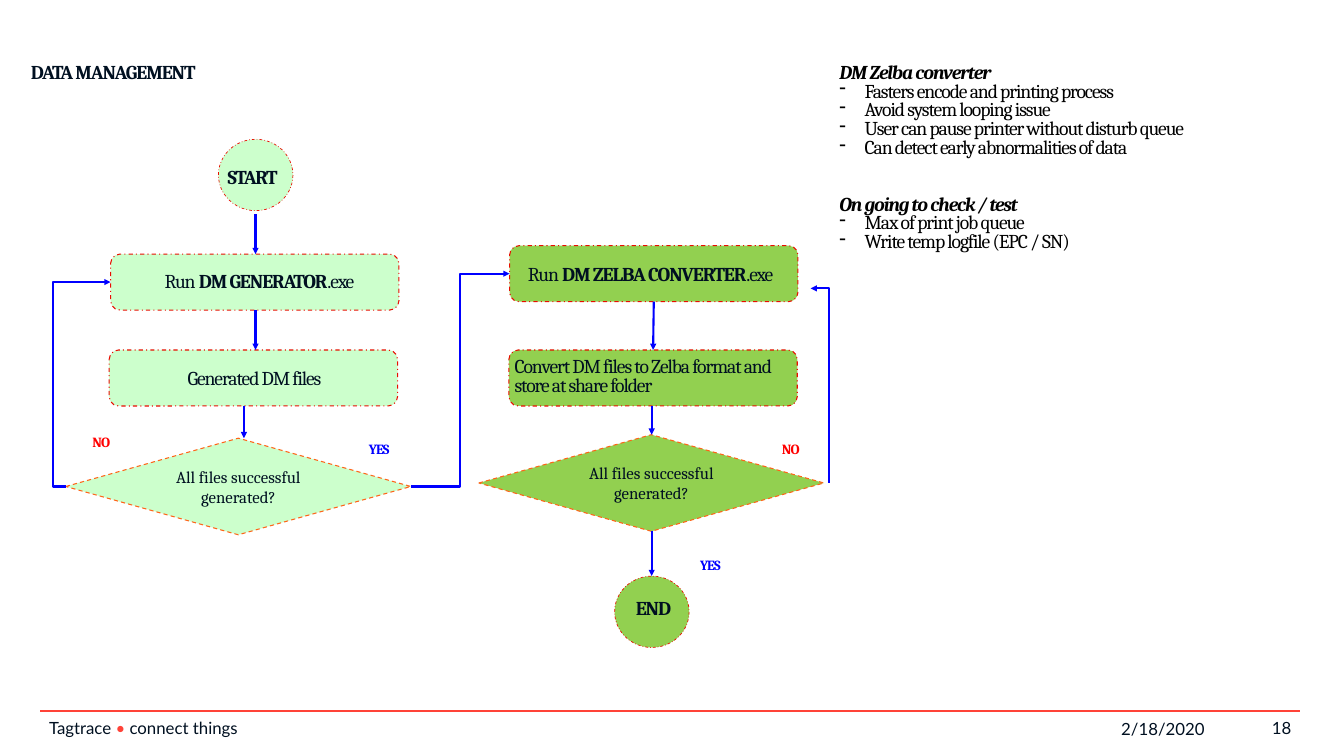
import dataclasses

import pptx
import pptx.dml.color
import pptx.enum.dml
import pptx.enum.shapes
import pptx.enum.text
import pptx.oxml
import pptx.oxml.ns
import pptx.util

Pt = pptx.util.Pt
Shape = pptx.enum.shapes.MSO_SHAPE
Wire = pptx.enum.shapes.MSO_CONNECTOR
Dash = pptx.enum.dml.MSO_LINE
Align = pptx.enum.text.PP_ALIGN
Anchor = pptx.enum.text.MSO_ANCHOR


@dataclasses.dataclass(frozen=True)
class Theme:
    serif: str = "Cambria"
    sans: str = "Lato"
    ink: str = "001021"
    black: str = "000000"
    mint: str = "CCFFCC"
    green: str = "92D050"
    outline: str = "E90D00"
    decision_outline: str = "FF6418"
    accent: str = "FF4338"
    blue: str = "0000FF"
    red: str = "FF0000"
    body: int = 28
    small: int = 24
    answer: int = 20


def apply(target, values):
    for name, value in values.items():
        setattr(target, name, value)


def rgb(value):
    return pptx.dml.color.RGBColor.from_string(value)


def element(parent, tag, **attributes):
    child = pptx.oxml.parse_xml(f'<a:{tag} {pptx.oxml.ns.nsdecls("a")}/>')
    for name, value in attributes.items():
        child.set(name, str(value))
    parent.append(child)
    return child


class Flowchart:
    def __init__(self, theme, slide):
        self.theme = theme
        self.slide = slide

    def set_text(self, frame, paragraphs, align=Align.LEFT, spacing=0.8, tight=True,
                 margins=(7.2, 21.6, 7.2, 3.6), anchor=Anchor.TOP, **font):
        left, top, right, bottom = map(Pt, margins)
        apply(frame, dict(word_wrap=True, auto_size=pptx.enum.text.MSO_AUTO_SIZE.NONE,
                          vertical_anchor=anchor, margin_left=left, margin_top=top,
                          margin_right=right, margin_bottom=bottom))
        base = dict(name=self.theme.serif, size=self.theme.body,
                    color=self.theme.ink, bold=False, italic=False) | font
        for index, runs in enumerate(paragraphs):
            paragraph = frame.add_paragraph() if index else frame.paragraphs[0]
            apply(paragraph, dict(alignment=align, line_spacing=spacing))
            for text, changes in runs:
                values = base | changes
                run = paragraph.add_run()
                run.text = text
                run.font.color.rgb = rgb(values.pop("color"))
                apply(run.font, values | dict(size=Pt(values["size"])))
                if tight:
                    run._r.get_or_add_rPr().set("spc", "-150")

    def title(self, text, box):
        title = self.slide.shapes.title
        apply(title, dict(zip(("left", "top", "width", "height"), map(Pt, box))))
        self.set_text(title.text_frame, [[(text, {})]], bold=True)

    def label(self, runs, box, **style):
        frame = self.slide.shapes.add_textbox(*map(Pt, box)).text_frame
        self.set_text(frame, [runs], **style)

    def footer(self, runs, box, align=Align.LEFT):
        self.label(runs, box, align=align, spacing=1.0, tight=False,
                   margins=(7.2, 3.6, 7.2, 3.6), anchor=Anchor.MIDDLE,
                   name=self.theme.sans, size=self.theme.small)

    def notes(self, sections, box):
        lines = [(text, level) for heading, points in sections
                 for text, level in [(heading, 0)] + [(point, 1) for point in points]]
        heading_style = dict(bold=True, italic=True)
        frame = self.slide.shapes.add_textbox(*map(Pt, box)).text_frame
        self.set_text(frame, [[(text, {} if level else heading_style)] for text, level in lines],
                      color=self.theme.black)
        for index, (text, level) in enumerate(lines):
            paragraph = frame.paragraphs[index]
            if level:
                properties = paragraph._p.get_or_add_pPr()
                properties.set("marL", str(Pt(36)))
                properties.set("indent", str(-Pt(36)))
                element(properties, "buChar", char="-")
            elif index:
                paragraph.space_before = Pt(54)

    def node(self, kind, box, fill, outline, width, dash):
        node = self.slide.shapes.add_shape(kind, *map(Pt, box))
        node.shadow.inherit = False
        node.fill.solid()
        node.fill.fore_color.rgb = rgb(fill)
        node.line.color.rgb = rgb(outline)
        apply(node.line, dict(width=Pt(width), dash_style=dash))
        return node

    def process(self, left, top, fill):
        self.node(Shape.FLOWCHART_ALTERNATE_PROCESS, (left, top, 412, 80), fill,
                  self.theme.outline, 1.5, Dash.DASH_DOT)

    def terminal(self, left, top, fill):
        self.node(Shape.FLOWCHART_CONNECTOR, (left, top, 106.5, 102), fill,
                  self.theme.outline, 1, Dash.DASH_DOT)

    def decision(self, left, top, fill, lines):
        node = self.node(Shape.FLOWCHART_DECISION, (left, top, 493, 138), fill,
                         self.theme.decision_outline, 1.5, Dash.DASH)
        self.set_text(node.text_frame, [[(line, {})] for line in lines], align=Align.CENTER,
                      spacing=1.0, tight=False, margins=(5.76,) * 4, anchor=Anchor.MIDDLE,
                      size=self.theme.small)

    def line(self, start, end, color, width, kind=Wire.STRAIGHT):
        line = self.slide.shapes.add_connector(kind, *map(Pt, start + end))
        line.line.color.rgb = rgb(color)
        line.line.width = Pt(width)
        element(line._element.spPr, "effectLst")
        return line

    def arrow(self, start, end, bend=None):
        kind = Wire.STRAIGHT if bend is None else Wire.ELBOW
        arrow = self.line(start, end, self.theme.blue, 3, kind)
        properties = arrow._element.spPr
        element(properties.find(pptx.oxml.ns.qn("a:ln")), "tailEnd", type="triangle")
        if bend is not None:
            guides = properties.find(".//" + pptx.oxml.ns.qn("a:avLst"))
            element(guides, "gd", name="adj1", fmla=f"val {round(bend * 100000)}")


def main():
    deck = pptx.Presentation()
    apply(deck, dict(slide_width=Pt(1920), slide_height=Pt(1080)))
    theme = Theme()
    chart = Flowchart(theme, deck.slides.add_slide(deck.slide_layouts[5]))
    strong = dict(bold=True)

    chart.line((57.6, 1016), (1857, 1016), theme.accent, 2)
    chart.footer([("18", {})], (1792, 1022, 60, 36), Align.RIGHT)
    chart.footer([("2/18/2020", {})], (1529, 1023, 199, 37), Align.RIGHT)
    chart.footer([("Tagtrace ", {}), ("•", dict(color=theme.accent)),
                  (" connect things", {})], (63, 1022, 870, 36))
    chart.title("DATA MANAGEMENT", (37, 70, 265, 80))

    for left, top, fill in ((312, 199, theme.mint), (878, 823, theme.green)):
        chart.terminal(left, top, fill)
    for left, top, fill in ((158, 363, theme.mint), (156, 500, theme.mint),
                            (728, 351, theme.green), (727, 500, theme.green)):
        chart.process(left, top, fill)
    for left, top, fill in ((94, 626, theme.mint), (684, 621, theme.green)):
        chart.decision(left, top, fill, ("All files successful", "generated?"))

    chart.label([("START", strong)], (318, 220, 95, 80))
    chart.label([("END", strong)], (886, 836, 95, 80), align=Align.CENTER)
    for program, box in (("DM GENERATOR", (228, 369, 319, 107)),
                         ("DM ZELBA CONVERTER", (747, 359, 412, 107))):
        chart.label([("Run ", {}), (program, strong), (".exe", {})], box)
    chart.label([("Generated DM files", {})], (158, 507, 411, 80), align=Align.CENTER)
    chart.label([("Convert DM files to Zelba format and store at share folder", {})],
                (728, 491, 412, 134))

    for left, top in ((520, 612), (993, 778)):
        chart.label([("YES", strong)], (left, top, 50, 64),
                    size=theme.answer, color=theme.blue)
    for left, top in ((125, 603), (1110, 612)):
        chart.label([("NO", strong)], (left, top, 40, 83),
                    size=theme.answer, color=theme.red)

    for start, end in (((365, 306), (365, 363)), ((365, 443), (365, 500)),
                       ((348.5, 580), (348.5, 626)), ((934, 431), (933, 500)),
                       ((931, 580), (931, 621)), ((931, 759), (931, 823))):
        chart.arrow(start, end)
    for start, end, bend in (((94, 695), (158, 403), -0.28),
                             ((587, 695), (728, 391), 0.5),
                             ((1184, 690), (1158, 412), 0)):
        chart.arrow(start, end, bend)

    chart.notes((
        ("DM Zelba converter", ("Fasters encode and printing process",
                                "Avoid system looping issue",
                                "User can pause printer without disturb queue",
                                "Can detect early abnormalities of data")),
        ("On going to check / test", ("Max of print job queue",
                                      "Write temp logfile (EPC / SN)")),
    ), (1192, 70, 622, 351))

    deck.save("out.pptx")


if __name__ == "__main__":
    main()
